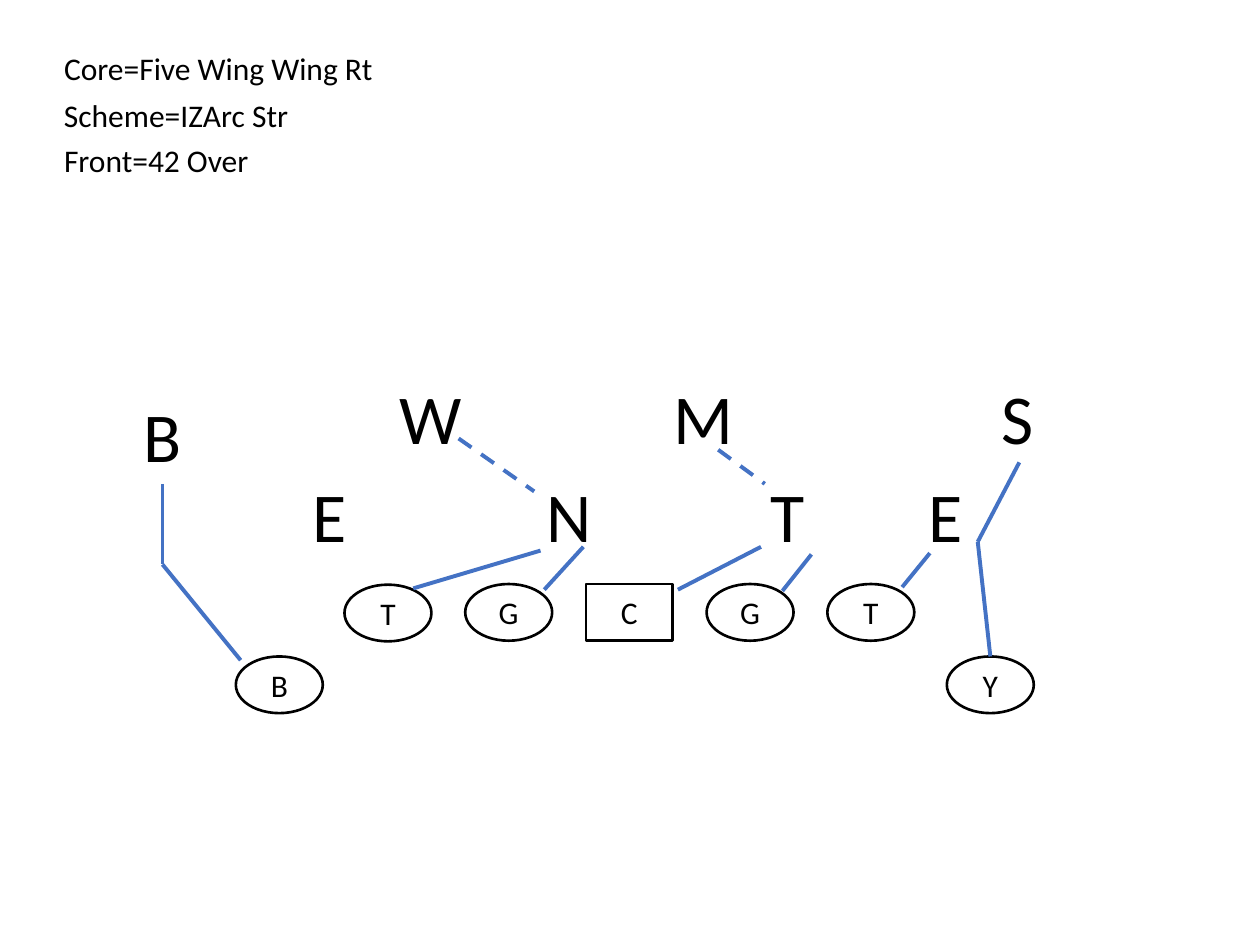
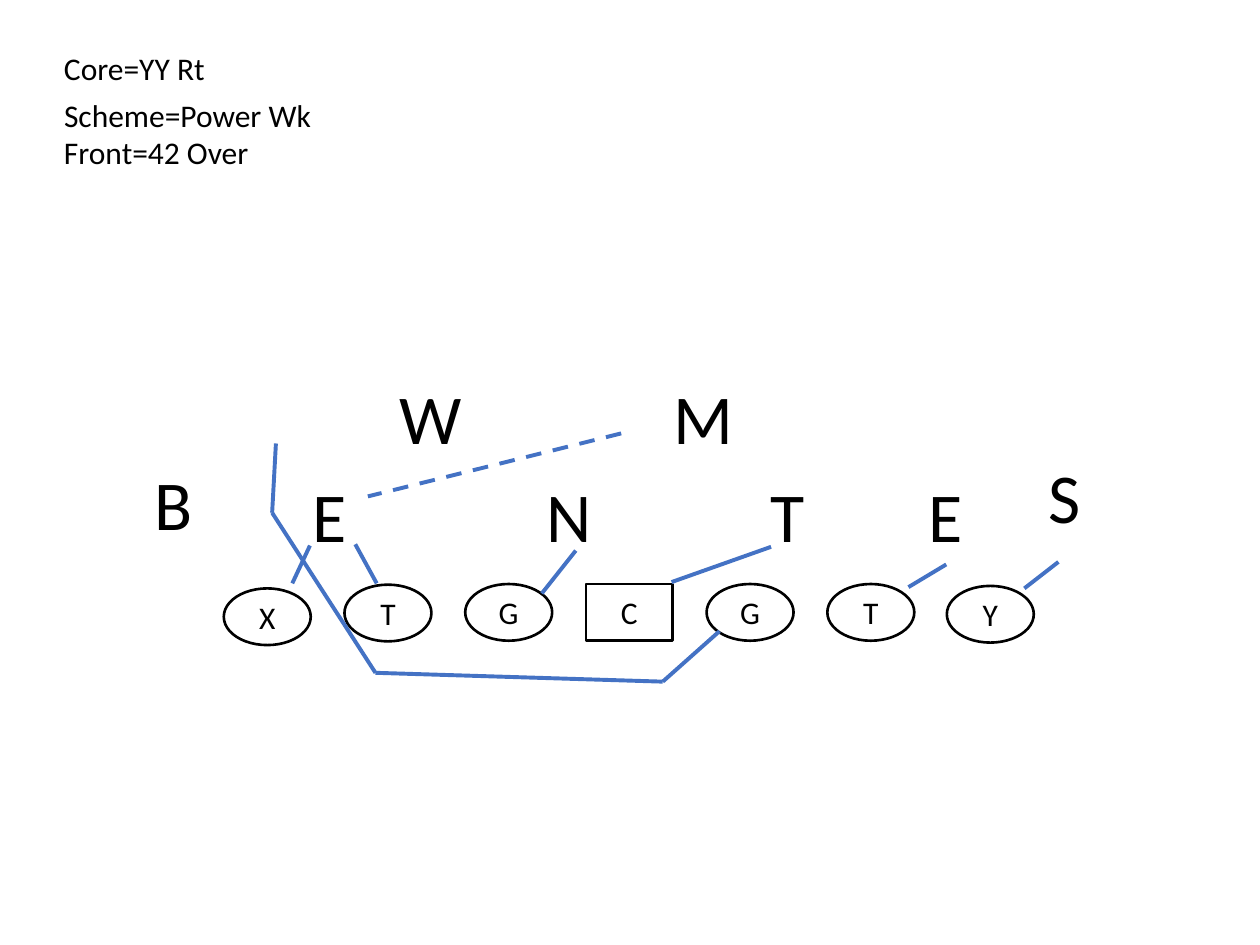
from dataclasses import dataclass
from itertools import pairwise

from lxml.etree import SubElement
from pptx import Presentation
from pptx.dml.color import RGBColor as RGB
from pptx.enum.dml import MSO_LINE as Dash
from pptx.enum.shapes import MSO_CONNECTOR as Link, MSO_SHAPE as Shape
from pptx.enum.text import MSO_ANCHOR as Anchor, MSO_AUTO_SIZE as Fit, PP_ALIGN as Align
from pptx.oxml.ns import qn
from pptx.util import Inches, Pt

COLUMNS, ROWS = 100, 75
WIDTH, HEIGHT = Inches(10), Inches(7.5)


@dataclass(frozen=True)
class Theme:
    font: str = "Calibri"
    ink: RGB = RGB(0x00, 0x00, 0x00)
    paper: RGB = RGB(0xFF, 0xFF, 0xFF)
    route: RGB = RGB(0x44, 0x72, 0xC4)
    label_size: float = 18
    defender_size: float = 40
    outline: float = 1.5
    route_width: float = 2.25


@dataclass(frozen=True)
class Caption:
    text: str
    row: float
    columns: float


@dataclass(frozen=True)
class Blocker:
    letter: str
    slot: float
    row: float = 46.35
    shape: Shape = Shape.OVAL


@dataclass(frozen=True)
class Defender:
    letter: str
    column: float
    row: float


@dataclass(frozen=True)
class Route:
    points: tuple[tuple[float, float], ...]
    dashed: bool = False


@dataclass(frozen=True)
class Play:
    captions: tuple[Caption, ...]
    blockers: tuple[Blocker, ...]
    defenders: tuple[Defender, ...]
    routes: tuple[Route, ...]


THEME = Theme()
CAPTION_COLUMN, CAPTION_ROWS = 4.1, 4
CENTER_COLUMN, SLOT_PITCH = 46.5, 9.58
BLOCKER_COLUMNS, BLOCKER_ROWS = 6.9, 4.5
DEFENDER_ROWS = 7.7
LETTER_COLUMNS = {"N": 5.6, "T": 4.8, "E": 4.8, "W": 7, "M": 7, "S": 4.8, "B": 5.1}
BACKER_ROW, FRONT_ROW = 29.2, 37

LINE = (
    Blocker("C", 0, shape=Shape.RECTANGLE),
    Blocker("G", 1),
    Blocker("T", 2),
    Blocker("T", -2, 46.4),
    Blocker("G", -1),
)
FRONT = (
    Defender("N", 42.4, FRONT_ROW),
    Defender("T", 60.2, FRONT_ROW),
    Defender("E", 72.7, FRONT_ROW),
    Defender("E", 23.8, FRONT_ROW),
    Defender("W", 30.7, BACKER_ROW),
    Defender("M", 52.5, BACKER_ROW),
)

PLAYS = (
    Play(
        captions=(
            Caption("Core=Five Wing Wing Rt", 3.4, 26.8),
            Caption("Scheme=IZArc Str", 7.1, 20),
            Caption("Front=42 Over", 10.7, 16.8),
        ),
        blockers=(*LINE, Blocker("Y", 2.99, 52.1), Blocker("B", -2.9, 52.1)),
        defenders=(*FRONT, Defender("S", 78.5, BACKER_ROW), Defender("B", 10.4, 30.7)),
        routes=(
            Route(((42.9, 43.7), (32.8, 46.7))),
            Route(((46.3, 43.4), (43.2, 46.8))),
            Route(((36.4, 34.8), (42.4, 39)), dashed=True),
            Route(((64.4, 44), (62.1, 46.9))),
            Route(((60.4, 43.4), (53.8, 46.8))),
            Route(((57, 35.7), (60.7, 38.4)), dashed=True),
            Route(((73.8, 43.9), (71.6, 46.6))),
            Route(((78.6, 52.1), (77.6, 43), (80.9, 36.7))),
            Route(((12.9, 38.4), (12.9, 44.8), (19.1, 52.4))),
        ),
    ),
    Play(
        captions=(
            Caption("Core=YY Rt", 3.4, 13.3),
            Caption("Scheme=Power Wk", 7.1, 21.8),
            Caption("Front=42 Over", 10.1, 17.4),
        ),
        blockers=(*LINE, Blocker("Y", 2.99, 46.5), Blocker("X", -3, 46.7)),
        defenders=(*FRONT, Defender("S", 82.2, 35.5), Defender("B", 11.3, 36.1)),
        routes=(
            Route(((84, 44.6), (81.3, 46.7))),
            Route(((75.1, 44.8), (72.1, 46.6))),
            Route(((61.2, 43.4), (53.3, 46.2))),
            Route(((45.7, 43.7), (43, 47.1))),
            Route(((24.6, 43.3), (23.2, 46.3))),
            Route(((28.2, 43.2), (29.9, 46.3))),
            Route(((49.3, 34.4), (29.2, 39.4)), dashed=True),
            Route(((57.1, 50.1), (52.6, 54.1), (29.8, 53.4), (21.6, 40.7), (21.9, 35.2))),
        ),
    ),
)


def x(columns: float) -> int:
    return round(WIDTH * columns / COLUMNS)


def y(rows: float) -> int:
    return round(HEIGHT * rows / ROWS)


def add_run(tf, text: str, size: float, align: Align = Align.LEFT) -> None:
    p = tf.paragraphs[0]
    p.alignment = align
    r = p.add_run()
    r.text = text
    r.font.name = THEME.font
    r.font.size = Pt(size)
    r.font.color.rgb = THEME.ink


def draw_text(s, text: str, column: float, row: float, columns: float, rows: float, size: float) -> None:
    tf = s.shapes.add_textbox(x(column), y(row), x(columns), y(rows)).text_frame
    tf.word_wrap = False
    tf.auto_size = Fit.SHAPE_TO_FIT_TEXT
    add_run(tf, text, size)


def draw_caption(s, caption: Caption) -> None:
    draw_text(s, caption.text, CAPTION_COLUMN, caption.row, caption.columns, CAPTION_ROWS, THEME.label_size)


def draw_defender(s, defender: Defender) -> None:
    columns = LETTER_COLUMNS[defender.letter]
    draw_text(s, defender.letter, defender.column, defender.row, columns, DEFENDER_ROWS, THEME.defender_size)


def draw_blocker(s, blocker: Blocker) -> None:
    column = CENTER_COLUMN + SLOT_PITCH * blocker.slot
    sp = s.shapes.add_shape(blocker.shape, x(column), y(blocker.row), x(BLOCKER_COLUMNS), y(BLOCKER_ROWS))
    sp.shadow.inherit = False
    sp.fill.solid()
    sp.fill.fore_color.rgb = THEME.paper
    sp.line.color.rgb = THEME.ink
    sp.line.width = Pt(THEME.outline)
    sp.text_frame.vertical_anchor = Anchor.MIDDLE
    add_run(sp.text_frame, blocker.letter, THEME.label_size, Align.CENTER)


def draw_route(s, route: Route) -> None:
    for (x1, y1), (x2, y2) in pairwise(route.points):
        link = s.shapes.add_connector(Link.STRAIGHT, x(x1), y(y1), x(x2), y(y2))
        link.line.color.rgb = THEME.route
        link.line.width = Pt(THEME.route_width)
        if route.dashed:
            link.line.dash_style = Dash.DASH
        SubElement(link._element.spPr, qn("a:effectLst"))


def draw_play(prs, play: Play) -> None:
    s = prs.slides.add_slide(prs.slide_layouts[6])
    s.background.fill.solid()
    s.background.fill.fore_color.rgb = THEME.paper
    for caption in play.captions:
        draw_caption(s, caption)
    for blocker in play.blockers:
        draw_blocker(s, blocker)
    for defender in play.defenders:
        draw_defender(s, defender)
    for route in play.routes:
        draw_route(s, route)


def main() -> None:
    prs = Presentation()
    prs.slide_width, prs.slide_height = WIDTH, HEIGHT
    for play in PLAYS:
        draw_play(prs, play)
    prs.save("out.pptx")


if __name__ == "__main__":
    main()
